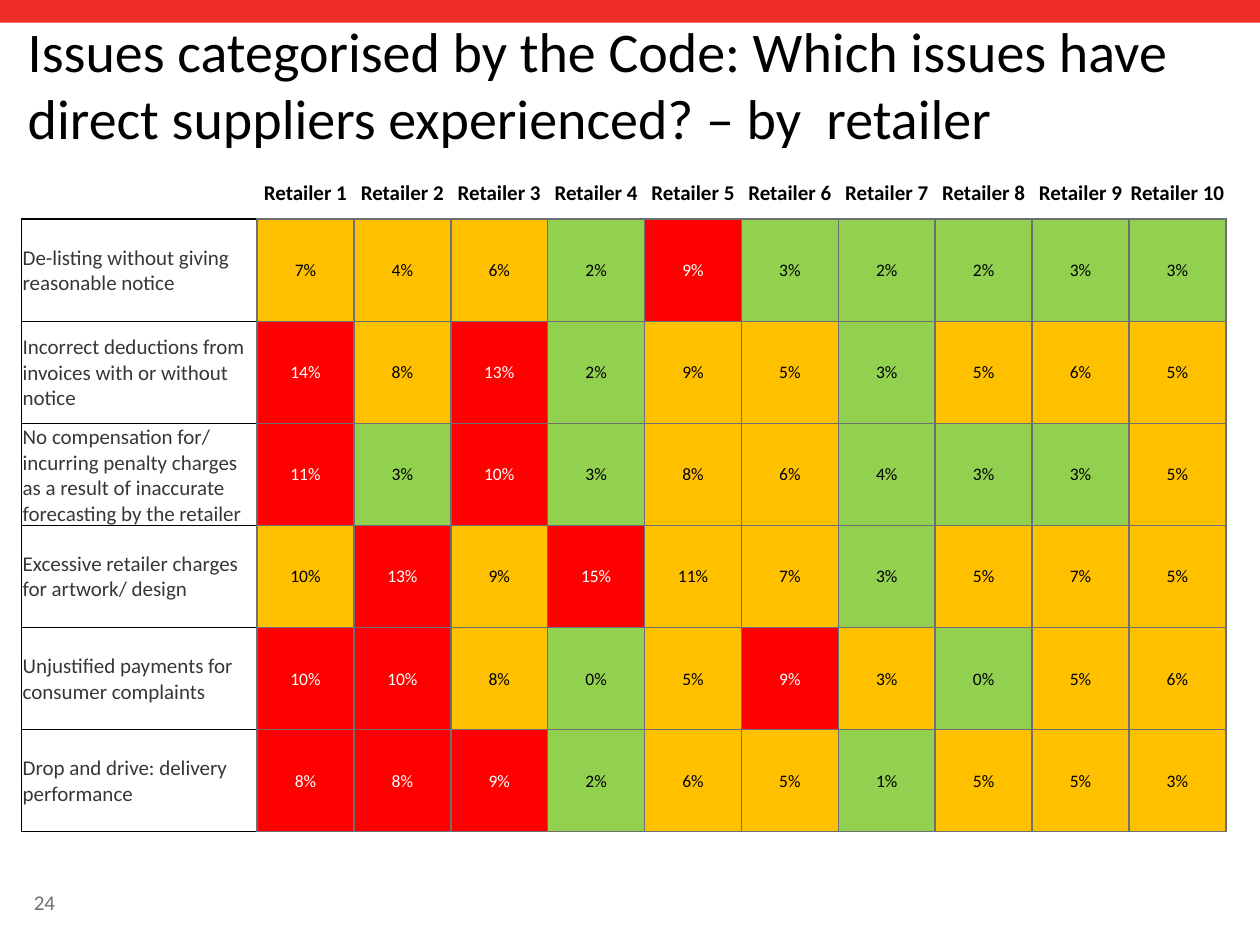
from lxml import etree
from pptx import Presentation, util as u
from pptx.dml.color import RGBColor
from pptx.enum import shapes, text
from pptx.oxml.ns import qn

TITLE = "Issues categorised by the Code: Which issues have direct suppliers experienced? – by  retailer"
PAGE_NUMBER = "24"
RETAILERS = [f"Retailer {number}" for number in range(1, 11)]
ISSUES = [
    ("De-listing without giving reasonable notice",
     [7, 4, 6, 2, 9, 3, 2, 2, 3, 3], "AAAGRGGGGG"),
    ("Incorrect deductions from invoices with or without notice",
     [14, 8, 13, 2, 9, 5, 3, 5, 6, 5], "RARGAAGAAA"),
    ("No compensation for/ incurring penalty charges as a result of inaccurate forecasting by the retailer",
     [11, 3, 10, 3, 8, 6, 4, 3, 3, 5], "RGRGAAGGGA"),
    ("Excessive retailer charges for artwork/ design",
     [10, 13, 9, 15, 11, 7, 3, 5, 7, 5], "ARARAAGAAA"),
    ("Unjustified payments for consumer complaints",
     [10, 10, 8, 0, 5, 9, 3, 0, 5, 6], "RRAGARAGAA"),
    ("Drop and drive: delivery performance",
     [8, 8, 9, 2, 6, 5, 1, 5, 5, 3], "RRRGAAGAAA"),
]
COLOURS = {"banner": "EE2D27", "black": "000000", "white": "FFFFFF",
           "grey": "6D6F71", "label": "363739",
           "R": "FF0000", "A": "FFC000", "G": "92D050"}
GRID = {"left": 0.17, "top": 1.32, "width": 9.56, "height": 5.28,
        "label": 1.87, "header": 0.42}
CELL_FORMAT = {"margin_left": u.Inches(0.01), "margin_right": u.Inches(0.01),
               "margin_top": u.Inches(0.01), "margin_bottom": 0,
               "vertical_anchor": text.MSO_ANCHOR.MIDDLE}
LABEL_BORDERS = {"L": "black", "R": "grey", "T": "black", "B": "black"}
SCORE_BORDERS = dict.fromkeys("LRTB", "grey")


def colour(name):
    return RGBColor.from_string(COLOURS[name])


def set_values(target, values):
    for name, value in values.items():
        setattr(target, name, value)


def write(paragraph, words, size, shade, align=text.PP_ALIGN.LEFT, bold=False):
    paragraph.text = words
    paragraph.alignment = align
    set_values(paragraph.font, {"name": "Calibri", "size": u.Pt(size), "bold": bold})
    paragraph.font.color.rgb = colour(shade)


def format_cell(cell, borders, fill=None):
    set_values(cell, CELL_FORMAT)
    properties = cell._tc.get_or_add_tcPr()
    for side, shade in borders.items():
        line = etree.SubElement(properties, qn(f"a:ln{side}"), w=str(u.Pt(1)))
        solid = etree.SubElement(line, qn("a:solidFill"))
        etree.SubElement(solid, qn("a:srgbClr"), val=COLOURS[shade])
    if fill:
        cell.fill.solid()
        cell.fill.fore_color.rgb = colour(fill)
    else:
        cell.fill.background()


def add_banner(slide, width):
    banner = slide.shapes.add_shape(shapes.MSO_SHAPE.RECTANGLE, 0, 0, width, u.Inches(0.18))
    banner.shadow.inherit = False
    banner.fill.solid()
    banner.fill.fore_color.rgb = colour("banner")
    banner.line.fill.background()


def add_title(slide):
    title = slide.shapes.title
    set_values(title, {"left": u.Inches(0.12), "top": u.Inches(0.74),
                       "width": u.Inches(9.88), "height": u.Inches(0.51)})
    set_values(title.text_frame, {"word_wrap": True,
                                  "auto_size": text.MSO_AUTO_SIZE.NONE,
                                  "vertical_anchor": text.MSO_ANCHOR.BOTTOM})
    write(title.text_frame.paragraphs[0], TITLE, 32, "black")


def add_page_number(slide):
    box = slide.shapes.add_textbox(*map(u.Inches, (GRID["left"], 6.9, 0.77, 0.52)))
    set_values(box.text_frame, {"word_wrap": True,
                                "vertical_anchor": text.MSO_ANCHOR.MIDDLE})
    write(box.text_frame.paragraphs[0], PAGE_NUMBER, 12, "grey")


def add_issue_table(slide):
    frame = slide.shapes.add_table(
        len(ISSUES) + 1, len(RETAILERS) + 1,
        *(u.Inches(GRID[name]) for name in ("left", "top", "width", "height")))
    table = frame.table
    set_values(table, {"first_row": False, "horz_banding": False})
    score_width = (GRID["width"] - GRID["label"]) / len(RETAILERS)
    issue_height = (GRID["height"] - GRID["header"]) / len(ISSUES)
    for index, column in enumerate(table.columns):
        column.width = u.Inches(score_width if index else GRID["label"])
    for index, row in enumerate(table.rows):
        row.height = u.Inches(issue_height if index else GRID["header"])

    centre = text.PP_ALIGN.CENTER
    format_cell(table.cell(0, 0), {"B": "black"})
    for column, retailer in enumerate(RETAILERS, 1):
        cell = table.cell(0, column)
        format_cell(cell, {"B": "grey"})
        write(cell.text_frame.paragraphs[0], retailer, 12, "black", centre, True)
    for row, (issue, scores, ratings) in enumerate(ISSUES, 1):
        cell = table.cell(row, 0)
        format_cell(cell, LABEL_BORDERS)
        write(cell.text_frame.paragraphs[0], issue, 12, "label")
        for column, (score, rating) in enumerate(zip(scores, ratings), 1):
            cell = table.cell(row, column)
            format_cell(cell, SCORE_BORDERS, rating)
            shade = "white" if rating == "R" else "black"
            write(cell.text_frame.paragraphs[0], f"{score}%", 10, shade, centre)


def main():
    presentation = Presentation()
    set_values(presentation, {"slide_width": u.Inches(10), "slide_height": u.Inches(7.5)})
    slide = presentation.slides.add_slide(presentation.slide_layouts[5])
    add_banner(slide, presentation.slide_width)
    add_title(slide)
    add_page_number(slide)
    add_issue_table(slide)
    presentation.save("out.pptx")


if __name__ == "__main__":
    main()
